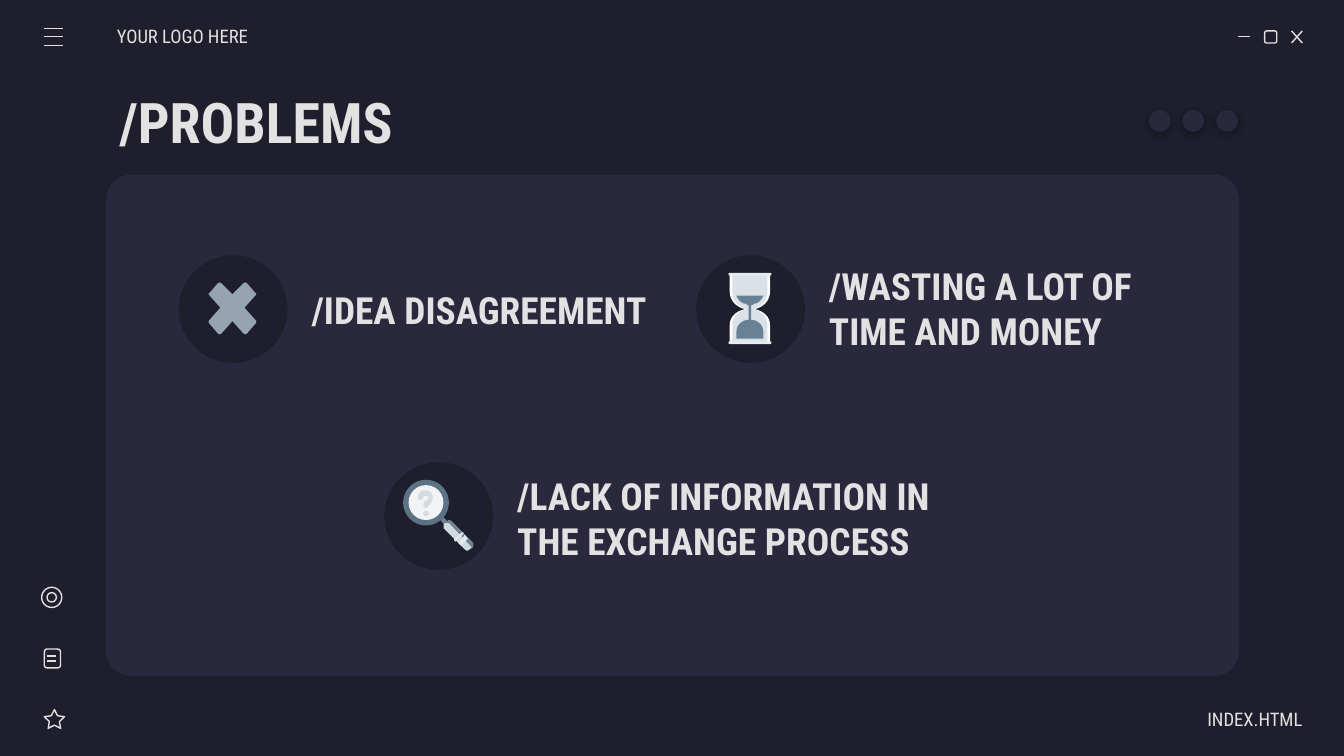
from lxml.etree import SubElement
from pptx import Presentation
from pptx.dml.color import RGBColor
from pptx.enum.shapes import MSO_CONNECTOR, MSO_SHAPE
from pptx.enum.text import MSO_ANCHOR, PP_ALIGN
from pptx.oxml.ns import qn
from pptx.util import Inches, Pt

COLORS = {
    "night": "1E1E2C", "panel": "29283D", "text": "E2E2E2", "cross": "96A4B1",
    "frame": "5C7285", "neck": "6D8192", "lens": "F2F3F5", "grip": "CFD9E0",
    "band": "E3E9ED", "mark": "D3DCE3", "glass": "DBE2E7", "rim": "FCFDFD",
    "cap": "E5EBEE", "sand": "688195",
}
FONT = "Roboto Condensed"


def color(name):
    """Return a named colour."""
    return RGBColor.from_string(COLORS[name])


def paint(shape, fill=None):
    """Fill a shape without a line, or outline it when no fill is given."""
    shape.shadow.inherit = False
    if fill:
        shape.fill.solid()
        shape.fill.fore_color.rgb = color(fill)
        shape.line.fill.background()
    else:
        shape.fill.background()
        shape.line.color.rgb = color("text")
        shape.line.width = Pt(0.75)
    return shape


def add_shape(page, kind, left, top, width, height, fill=None):
    """Add a preset shape."""
    box = [Inches(v) for v in (left, top, width, height)]
    return paint(page.shapes.add_shape(kind, *box), fill)


def add_line(page, x1, y1, x2, y2):
    """Add a thin straight line."""
    ends = [Inches(v) for v in (x1, y1, x2, y2)]
    line = page.shapes.add_connector(MSO_CONNECTOR.STRAIGHT, *ends)
    line.line.color.rgb = color("text")
    line.line.width = Pt(0.75)
    SubElement(line._element.spPr, qn("a:effectLst"))


def add_text(page, box, text, size, bold=True, align=PP_ALIGN.LEFT, insets=(0.1, 0.1)):
    """Add one paragraph, vertically centred; insets are left and right."""
    frame = page.shapes.add_textbox(*[Inches(v) for v in box]).text_frame
    frame.word_wrap = True
    frame.vertical_anchor = MSO_ANCHOR.MIDDLE
    frame.margin_left, frame.margin_right = [Inches(v) for v in insets]
    frame.margin_top = frame.margin_bottom = Inches(0.1)
    para = frame.paragraphs[0]
    para.alignment = align
    span = para.add_run()
    span.text = text
    span.font.name, span.font.size, span.font.bold = FONT, Pt(size), bold
    span.font.color.rgb = color("text")


def trace(steps):
    """Turn corners (x, y) and cubic curves (six numbers) into points."""
    points = []
    for step in steps:
        if len(step) == 2:
            points.append(step)
            continue
        knots = [points[-1], step[:2], step[2:4], step[4:]]
        for t in (i / 8 for i in range(1, 9)):
            weights = ((1 - t) ** 3, 3 * t * (1 - t) ** 2, 3 * t * t * (1 - t), t ** 3)
            points.append(tuple(sum(w * k[axis] for w, k in zip(weights, knots))
                                for axis in (0, 1)))
    return points


def add_outline(page, left, top, steps, fill, mirror=False):
    """Add a closed outline; mirror repeats it left of the vertical axis."""
    points = trace(steps)
    if mirror:
        points += [(-x, y) for x, y in reversed(points)]
    points = [(Inches(left + x), Inches(top + y)) for x, y in points]
    builder = page.shapes.build_freeform(*points[0], scale=1.0)
    builder.add_line_segments(points[1:], close=True)
    paint(builder.convert_to_shape(), fill)


def draw_cross(page, left, top):
    """Draw the cross in the disc at left, top."""
    add_outline(page, left + 0.4, top + 0.39, [
        (0, -0.1), (0.08, -0.18), (0.09, -0.19, 0.1, -0.19, 0.11, -0.18),
        (0.17, -0.11), (0.18, -0.11, 0.18, -0.1, 0.17, -0.09), (0.09, 0),
        (0.17, 0.09), (0.18, 0.1, 0.18, 0.11, 0.17, 0.12), (0.11, 0.19),
        (0.1, 0.2, 0.09, 0.2, 0.08, 0.19), (0, 0.1)], "cross", mirror=True)


def draw_hourglass(page, left, top):
    """Draw the hourglass in the disc at left, top."""
    middle = left + 0.4
    for half, waist, fill in ((0.15, 0.04, "rim"), (0.13, 0.03, "glass")):
        add_outline(page, middle, top, [
            (half, 0.14), (half, 0.27), (half, 0.33, half - 0.04, 0.38, waist, 0.4),
            (half - 0.04, 0.42, half, 0.46, half, 0.52), (half, 0.65)],
            fill, mirror=True)
    for offset in (0.13, 0.64):
        cap = add_shape(page, MSO_SHAPE.ROUNDED_RECTANGLE, middle - 0.16,
                        top + offset, 0.32, 0.02, "cap")
        cap.adjustments[0] = 0.5
    add_outline(page, middle, top, [
        (0.1, 0.3), (0.09, 0.33, 0.06, 0.36, 0.03, 0.36),
        (0.02, 0.37, 0.02, 0.37, 0.01, 0.37), (0.01, 0.48),
        (0.06, 0.48, 0.1, 0.52, 0.1, 0.57), (0.1, 0.62)], "sand", mirror=True)


def draw_magnifier(page, left, top):
    """Draw the magnifier with its question mark in the disc at left, top."""
    def part(fill, *steps):
        add_outline(page, left, top, steps, fill)

    part("neck", (0.42, 0.39), (0.4, 0.41), (0.46, 0.48), (0.48, 0.45))
    for offset, size, fill in ((0.14, 0.34, "frame"), (0.18, 0.26, "lens")):
        add_shape(page, MSO_SHAPE.OVAL, left + offset, top + offset - 0.01,
                  size, size, fill)
    part("grip", (0.48, 0.43), (0.47, 0.44), (0.44, 0.46),
         (0.44, 0.47, 0.44, 0.48, 0.44, 0.49), (0.6, 0.65),
         (0.61, 0.66, 0.63, 0.66, 0.63, 0.65), (0.66, 0.63),
         (0.66, 0.62, 0.66, 0.61, 0.66, 0.6), (0.5, 0.44))
    part("neck", (0.48, 0.43), (0.45, 0.45), (0.48, 0.45), (0.64, 0.62),
         (0.65, 0.63, 0.65, 0.64, 0.64, 0.65), (0.66, 0.63),
         (0.66, 0.62, 0.66, 0.61, 0.66, 0.6), (0.5, 0.44))
    part("band", (0.6, 0.54), (0.55, 0.6), (0.57, 0.62), (0.62, 0.57))
    part("band", (0.58, 0.52), (0.52, 0.57), (0.52, 0.58, 0.52, 0.59, 0.53, 0.59),
         (0.54, 0.58), (0.59, 0.53), (0.59, 0.53, 0.59, 0.52, 0.58, 0.52))
    part("mark", (0.31, 0.21), (0.3, 0.21, 0.28, 0.21, 0.27, 0.22),
         (0.26, 0.23, 0.25, 0.25, 0.25, 0.26), (0.25, 0.28, 0.26, 0.28, 0.27, 0.28),
         (0.28, 0.28, 0.29, 0.28, 0.29, 0.26), (0.29, 0.25, 0.3, 0.25, 0.31, 0.25),
         (0.32, 0.25, 0.33, 0.25, 0.33, 0.26), (0.33, 0.27, 0.32, 0.28, 0.32, 0.28),
         (0.3, 0.29, 0.29, 0.3, 0.29, 0.32), (0.29, 0.33, 0.3, 0.34, 0.31, 0.34),
         (0.32, 0.34, 0.33, 0.33, 0.33, 0.32), (0.36, 0.3, 0.37, 0.26, 0.35, 0.23),
         (0.34, 0.22, 0.33, 0.21, 0.31, 0.21))
    add_shape(page, MSO_SHAPE.OVAL, left + 0.29, top + 0.36, 0.04, 0.04, "mark")


def add_problem(page, left, top, draw_icon, text, width, text_drop):
    """Add a disc with its icon and the problem to its right."""
    add_shape(page, MSO_SHAPE.OVAL, left, top, 0.81, 0.8, "night")
    draw_icon(page, left, top)
    add_text(page, (left + 0.89, top + text_drop, width, 0.43), text, 20)


def add_window_buttons(page, left, top):
    """Add the minimise, maximise and close signs."""
    add_line(page, left, top + 0.04, left + 0.09, top + 0.04)
    add_shape(page, MSO_SHAPE.ROUNDED_RECTANGLE, left + 0.2, top, 0.09, 0.09)
    add_line(page, left + 0.4, top, left + 0.48, top + 0.09)
    add_line(page, left + 0.48, top, left + 0.4, top + 0.09)


def add_side_bar(page, left):
    """Add the menu sign at the top and the three signs at the bottom."""
    for y in (0.21, 0.27, 0.34):
        add_line(page, left, y, left + 0.14, y)
    add_shape(page, MSO_SHAPE.OVAL, left - 0.02, 4.37, 0.15, 0.15)
    add_shape(page, MSO_SHAPE.OVAL, left + 0.02, 4.41, 0.07, 0.07)
    add_shape(page, MSO_SHAPE.ROUNDED_RECTANGLE, left, 4.83, 0.12, 0.14)
    for y in (4.88, 4.92):
        add_line(page, left + 0.02, y, left + 0.09, y)
    star = add_shape(page, MSO_SHAPE.STAR_5_POINT, left, 5.28, 0.15, 0.14)
    star.adjustments[0] = 0.25


def add_dots(page, left, top):
    """Add three dots with a soft shadow."""
    for column in range(3):
        dot = add_shape(page, MSO_SHAPE.OVAL, left + column * 0.25, top, 0.16, 0.16, "panel")
        effects = dot._element.spPr.find(qn("a:effectLst"))
        shadow = SubElement(effects, qn("a:outerShdw"), blurRad=str(Pt(4.5)),
                            dist=str(Pt(1.5)), dir="5400000", algn="bl", rotWithShape="0")
        black = SubElement(shadow, qn("a:srgbClr"), val="000000")
        SubElement(black, qn("a:alpha"), val="30000")


def build_problems(deck):
    """Build the slide of problems."""
    page = deck.slides.add_slide(deck.slide_layouts[6])
    page.background.fill.solid()
    page.background.fill.fore_color.rgb = color("night")
    panel = add_shape(page, MSO_SHAPE.ROUNDED_RECTANGLE, 0.79, 1.3, 8.43, 3.73, "panel")
    panel.adjustments[0] = 0.05
    add_window_buttons(page, 9.21, 0.23)
    add_side_bar(page, 0.33)
    add_text(page, (0.87, 0.12, 1.17, 0.3), "YOUR LOGO HERE", 10, False, insets=(0, 0.1))
    add_text(page, (8.52, 5.2, 1.17, 0.3), "INDEX.HTML", 10, False, PP_ALIGN.RIGHT, (0.1, 0))
    add_text(page, (0.79, 0.59, 8.43, 0.63), "/PROBLEMS", 30)
    add_dots(page, 8.55, 0.82)
    add_problem(page, 1.33, 1.9, draw_cross, "/IDEA DISAGREEMENT", 2.73, 0.19)
    add_problem(page, 5.18, 1.9, draw_hourglass, "/WASTING A LOT OF TIME AND MONEY", 2.73, 0.18)
    add_problem(page, 2.86, 3.44, draw_magnifier,
                "/LACK OF INFORMATION IN THE EXCHANGE PROCESS", 3.41, 0.2)


deck = Presentation()
deck.slide_width = Inches(10)
deck.slide_height = deck.slide_width * 9 // 16
build_problems(deck)
deck.save("out.pptx")
